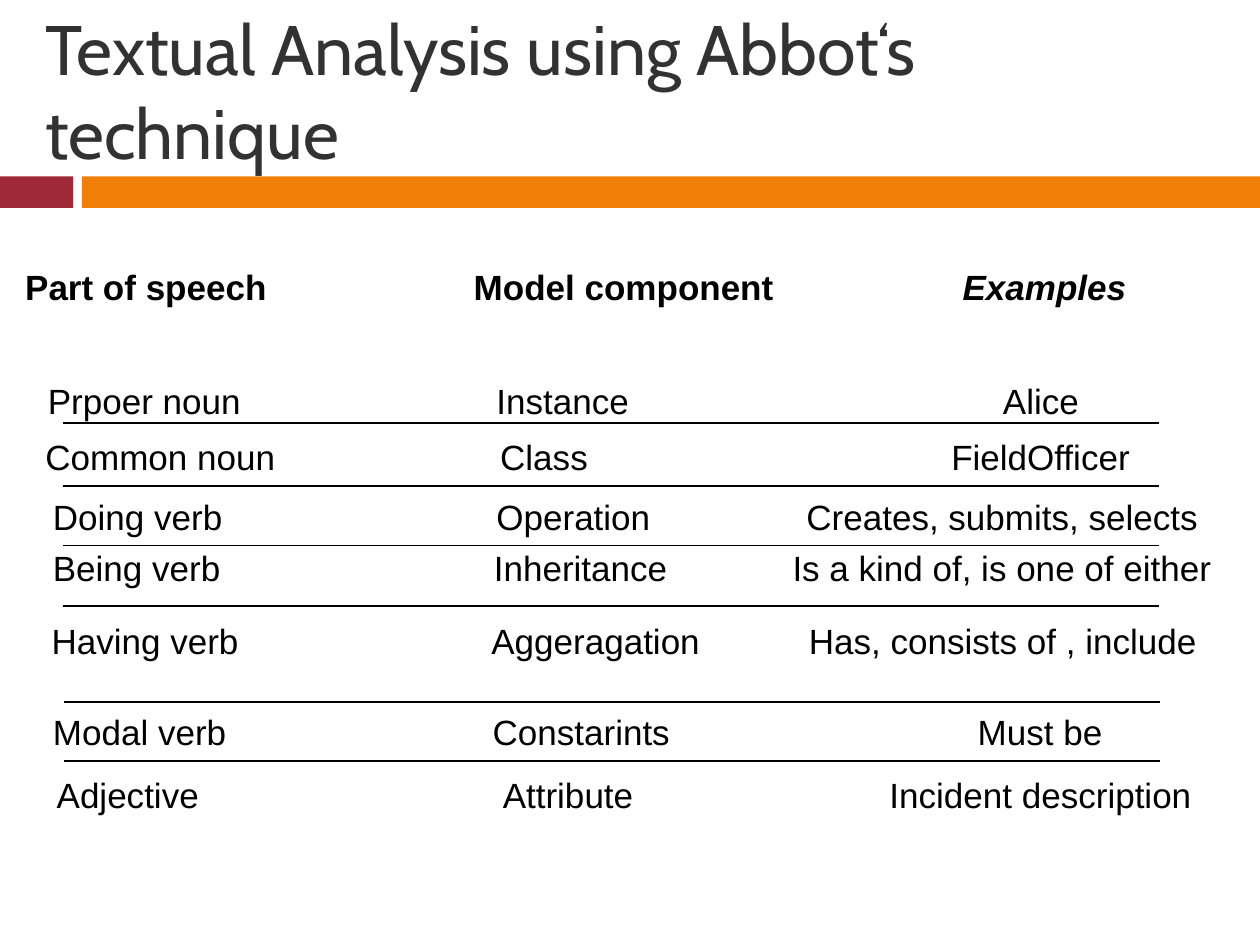
import pptx
import pptx.util
import pptx.dml.color
import pptx.enum.shapes
import pptx.enum.text
import lxml.etree

RGBColor = pptx.dml.color.RGBColor
BLACK = RGBColor(0x00, 0x00, 0x00)
GREY = RGBColor(0x32, 0x32, 0x32)
RED = RGBColor(0x9F, 0x29, 0x36)
ORANGE = RGBColor(0xF0, 0x7F, 0x09)

deck = pptx.Presentation()
deck.slide_width = pptx.util.Inches(10)
deck.slide_height = pptx.util.Inches(7.5)
COL = deck.slide_width / 10
ROW = deck.slide_height / 7.5
SLACK = 0.04
slide = deck.slides.add_slide(deck.slide_layouts[6])


def place(left, top, wide, high):
    return int(left * COL), int(top * ROW), int(wide * COL), int(high * ROW)


def write(text, spot, size, face, color):
    box = slide.shapes.add_textbox(*place(*spot))
    frame = box.text_frame
    frame.word_wrap = True
    frame.text = text
    font = frame.paragraphs[0].runs[0].font
    font.size = pptx.util.Pt(size)
    font.name = face
    font.color.rgb = color
    return frame, font


for left, wide, color in [(0, 0.58, RED), (0.65, 9.35, ORANGE)]:
    bar = slide.shapes.add_shape(
        pptx.enum.shapes.MSO_SHAPE.RECTANGLE, *place(left, 1.4, wide, 0.25))
    bar.shadow.inherit = False
    bar.fill.solid()
    bar.fill.fore_color.rgb = color
    bar.line.fill.background()

frame, font = write("Textual Analysis using Abbot‘s technique",
                    (0.26, 0.42, 9.5, 0.58), 40, "Cabin", GREY)
frame.vertical_anchor = pptx.enum.text.MSO_ANCHOR.MIDDLE

rows = [
    (2.11, [("Part of speech", 0.2, 1.92), ("Model component", 3.76, 2.82),
            ("Examples", 7.64, 1.3)]),
    (3.01, [("Prpoer noun", 0.38, 1.53), ("Instance", 3.94, 1.05),
            ("Alice", 7.96, 0.6)]),
    (3.46, [("Common noun", 0.36, 1.83), ("Class", 3.97, 0.7),
            ("FieldOfficer", 7.55, 1.42)]),
    (3.93, [("Doing verb", 0.42, 1.35), ("Operation", 3.94, 1.22),
            ("Creates, submits, selects", 6.4, 3.11)]),
    (4.34, [("Being verb", 0.42, 1.33), ("Inheritance", 3.92, 1.38),
            ("Is a kind of, is one of either", 6.29, 3.33)]),
    (4.92, [("Having verb", 0.41, 1.49), ("Aggeragation", 3.9, 1.66),
            ("Has, consists of , include", 6.42, 3.08)]),
    (5.64, [("Modal verb", 0.42, 1.38), ("Constarints", 3.91, 1.41),
            ("Must be", 7.76, 0.99)]),
    (6.14, [("Adjective", 0.45, 1.13), ("Attribute", 3.99, 1.04),
            ("Incident description", 7.06, 2.4)]),
]
for row, (top, cells) in enumerate(rows):
    for text, left, wide in cells:
        frame, font = write(text, (left, top, wide + SLACK, 0.33),
                            20, "Arial", BLACK)
        frame.margin_left = frame.margin_right = 0
        frame.margin_top = frame.margin_bottom = 0
        frame.auto_size = pptx.enum.text.MSO_AUTO_SIZE.SHAPE_TO_FIT_TEXT
        if row == 0:
            font.bold = True
            font.italic = text == "Examples"

rules = [(0.5, 3.36), (0.5, 3.86), (0.5, 4.33), (0.5, 4.81),
         (0.51, 5.57), (0.51, 6.04)]
for left, top in rules:
    start, level, span, _ = place(left, top, 8.7, 0)
    rule = slide.shapes.add_connector(
        pptx.enum.shapes.MSO_CONNECTOR.STRAIGHT,
        start, level, start + span, level)
    rule.line.color.rgb = BLACK
    rule.line.width = pptx.util.Pt(1)
    lxml.etree.SubElement(rule._element.spPr, pptx.oxml.ns.qn("a:effectLst"))

deck.save("out.pptx")
